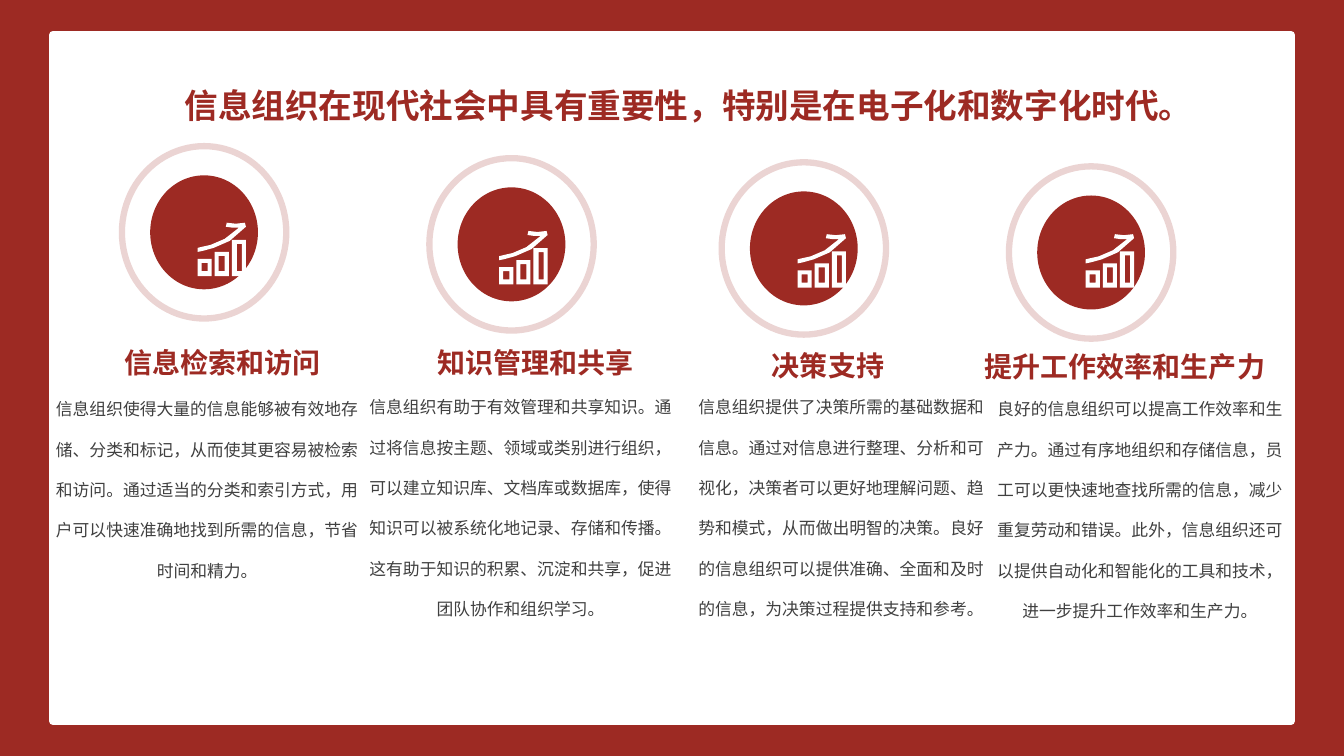
from dataclasses import dataclass

from lxml import etree
from pptx import Presentation
from pptx.dml.color import RGBColor
from pptx.enum.shapes import MSO_SHAPE
from pptx.enum.text import MSO_ANCHOR, MSO_AUTO_SIZE, PP_ALIGN
from pptx.oxml.ns import qn
from pptx.util import Pt

RECTANGLE, OVAL = MSO_SHAPE.RECTANGLE, MSO_SHAPE.OVAL
LEFT, CENTER = PP_ALIGN.LEFT, PP_ALIGN.CENTER
TOP, MIDDLE = MSO_ANCHOR.TOP, MSO_ANCHOR.MIDDLE
NO_AUTOSIZE, GROW = MSO_AUTO_SIZE.NONE, MSO_AUTO_SIZE.SHAPE_TO_FIT_TEXT

RED, WHITE, GREY = "9D2A23", "FFFFFF", "404040"
CJK_FONT = "Noto Sans CJK SC"
ICON_UNIT = 0.72
RING_SIZE = (117.4, 123.1)
DISC_SIZE = (77, 81.4)

TITLE = "信息组织在现代社会中具有重要性，特别是在电子化和数字化时代。"


@dataclass
class Column:
    heading: str
    body: str
    ring: tuple
    icon: tuple
    heading_box: tuple
    body_box: tuple


COLUMNS = [
    Column("信息检索和访问",
           "信息组织使得大量的信息能够被有效地存储、分类和标记，从而使其更容易被检索和访问。"
           "通过适当的分类和索引方式，用户可以快速准确地找到所需的信息，节省时间和精力。",
           (87.1, 104.4), (141.1, 159.1),
           (81.4, 243.4, 154.8, 31.7), (28.8, 267.1, 238.3, 181.4)),
    Column("知识管理和共享",
           "信息组织有助于有效管理和共享知识。通过将信息按主题、领域或类别进行组织，"
           "可以建立知识库、文档库或数据库，使得知识可以被系统化地记录、存储和传播。"
           "这有助于知识的积累、沉淀和共享，促进团队协作和组织学习。",
           (306.7, 113), (356.6, 165),
           (305.3, 243.4, 154.8, 31.7), (252.7, 265.7, 238.3, 237.6)),
    Column("决策支持",
           "信息组织提供了决策所需的基础数据和信息。通过对信息进行整理、分析和可视化，"
           "决策者可以更好地理解问题、趋势和模式，从而做出明智的决策。"
           "良好的信息组织可以提供准确、全面和及时的信息，为决策过程提供支持和参考。",
           (515.5, 115.9), (569.7, 167.3),
           (544.3, 245.5, 94.3, 31.7), (490.3, 265.7, 221, 223.9)),
    Column("提升工作效率和生产力",
           "良好的信息组织可以提高工作效率和生产力。通过有序地组织和存储信息，"
           "员工可以更快速地查找所需的信息，减少重复劳动和错误。"
           "此外，信息组织还可以提供自动化和智能化的工具和技术，进一步提升工作效率和生产力。",
           (720.7, 118.8), (775.5, 167.3),
           (696.2, 246.2, 214.6, 31.7), (702, 267.1, 224.6, 211.7)),
]


def color(hex_string):
    return RGBColor.from_string(hex_string)


def box_outline(left, top, right, bottom):
    return [(left, top), (right, top), (right, bottom), (left, bottom)]


GROWTH_ARROW = [(48, 4), (47, 0), (38, 1), (29, 0), (28, 4), (35, 5), (41, 5),
                (27, 16), (13, 22), (4, 24), (0, 25), (0, 29),
                (5, 28), (16, 25), (32, 18)]
SMALL_BARS = [box_outline(0, 36, 14, 53), box_outline(4, 40, 10, 48),
              box_outline(17, 29, 31, 53), box_outline(21, 33, 27, 48)]
TALL_BAR = [box_outline(34, 17, 48, 53), box_outline(39, 21, 44, 48)]


class SlideBuilder:
    def __init__(self, presentation):
        presentation.slide_width, presentation.slide_height = Pt(960), Pt(540)
        self.slide = presentation.slides.add_slide(presentation.slide_layouts[5])
        background = self.slide.background.fill
        background.solid()
        background.fore_color.rgb = color(RED)

    def shape(self, shapes, kind, box, fill=None, line=None, width=0, alpha=None):
        shape = shapes.add_shape(kind, *map(Pt, box))
        shape.shadow.inherit = False
        self.paint(shape, fill, line, width)
        if alpha:
            line_color = shape.element.find(".//" + qn("a:ln")).find(
                ".//" + qn("a:srgbClr"))
            etree.SubElement(line_color, qn("a:alpha"), val=str(alpha * 1000))
        return shape

    def paint(self, shape, fill, line=None, width=0):
        if fill:
            shape.fill.solid()
            shape.fill.fore_color.rgb = color(fill)
        else:
            shape.fill.background()
        if line:
            shape.line.color.rgb = color(line)
            shape.line.width = Pt(width)
        else:
            shape.line.fill.background()

    def frame(self):
        shape = self.shape(self.slide.shapes, RECTANGLE, (38, 25, 884, 490),
                           WHITE, WHITE, 6)
        self.slide.shapes.element.insert(2, shape.element)

    def set_text(self, shape, text, size, font_name, hex_string, bold=False,
                 align=CENTER, anchor=TOP, wrap=True, autosize=NO_AUTOSIZE, spacing=1):
        frame = shape.text_frame
        frame.text = text
        frame.word_wrap = wrap
        frame.auto_size = autosize
        frame.vertical_anchor = anchor
        paragraph = frame.paragraphs[0]
        paragraph.alignment = align
        paragraph.line_spacing = spacing
        for run in paragraph.runs:
            run.font.size = Pt(size)
            run.font.bold = bold
            run.font.name = font_name
            run.font.color.rgb = color(hex_string)
            latin = shape.element.find(".//" + qn("a:latin"))
            latin.addnext(latin.makeelement(qn("a:ea"), {"typeface": CJK_FONT}))

    def title(self, text):
        shape = self.slide.shapes.title
        shape.left, shape.top, shape.width, shape.height = map(
            Pt, (124.6, 56.9, 798.5, 36))
        self.set_text(shape, text, 24, CJK_FONT, RED, bold=True, align=LEFT,
                      anchor=MIDDLE, autosize=GROW)

    def heading(self, text, box):
        shape = self.slide.shapes.add_textbox(*map(Pt, box))
        self.set_text(shape, text, 20, "Quicksand", RED, bold=True, wrap=False,
                      autosize=GROW)

    def body(self, text, box):
        shape = self.slide.shapes.add_textbox(*map(Pt, box))
        self.set_text(shape, text, 12, "Calibri", GREY, spacing=2)

    def badge(self, left, top):
        shapes = self.slide.shapes.add_group_shape().shapes
        inset_x, inset_y = [(ring - disc) / 2
                            for ring, disc in zip(RING_SIZE, DISC_SIZE)]
        self.shape(shapes, OVAL, (left + inset_x, top + inset_y, *DISC_SIZE), RED)
        self.shape(shapes, OVAL, (left, top, *RING_SIZE), line=RED, width=4.5,
                   alpha=20)

    def icon(self, left, top):
        shapes = self.slide.shapes.add_group_shape().shapes
        for outlines in ([GROWTH_ARROW, *SMALL_BARS], TALL_BAR):
            builder = shapes.build_freeform(*outlines[0][0], scale=Pt(ICON_UNIT))
            for index, outline in enumerate(outlines):
                if index:
                    builder.move_to(*outline[0])
                builder.add_line_segments(outline[1:], close=True)
            shape = builder.convert_to_shape(Pt(left), Pt(top))
            shape.shadow.inherit = False
            self.paint(shape, WHITE)


def main():
    presentation = Presentation()
    builder = SlideBuilder(presentation)
    builder.frame()
    builder.title(TITLE)
    for column in COLUMNS:
        builder.badge(*column.ring)
        builder.icon(*column.icon)
        builder.body(column.body, column.body_box)
        builder.heading(column.heading, column.heading_box)
    presentation.save("out.pptx")


if __name__ == "__main__":
    main()
